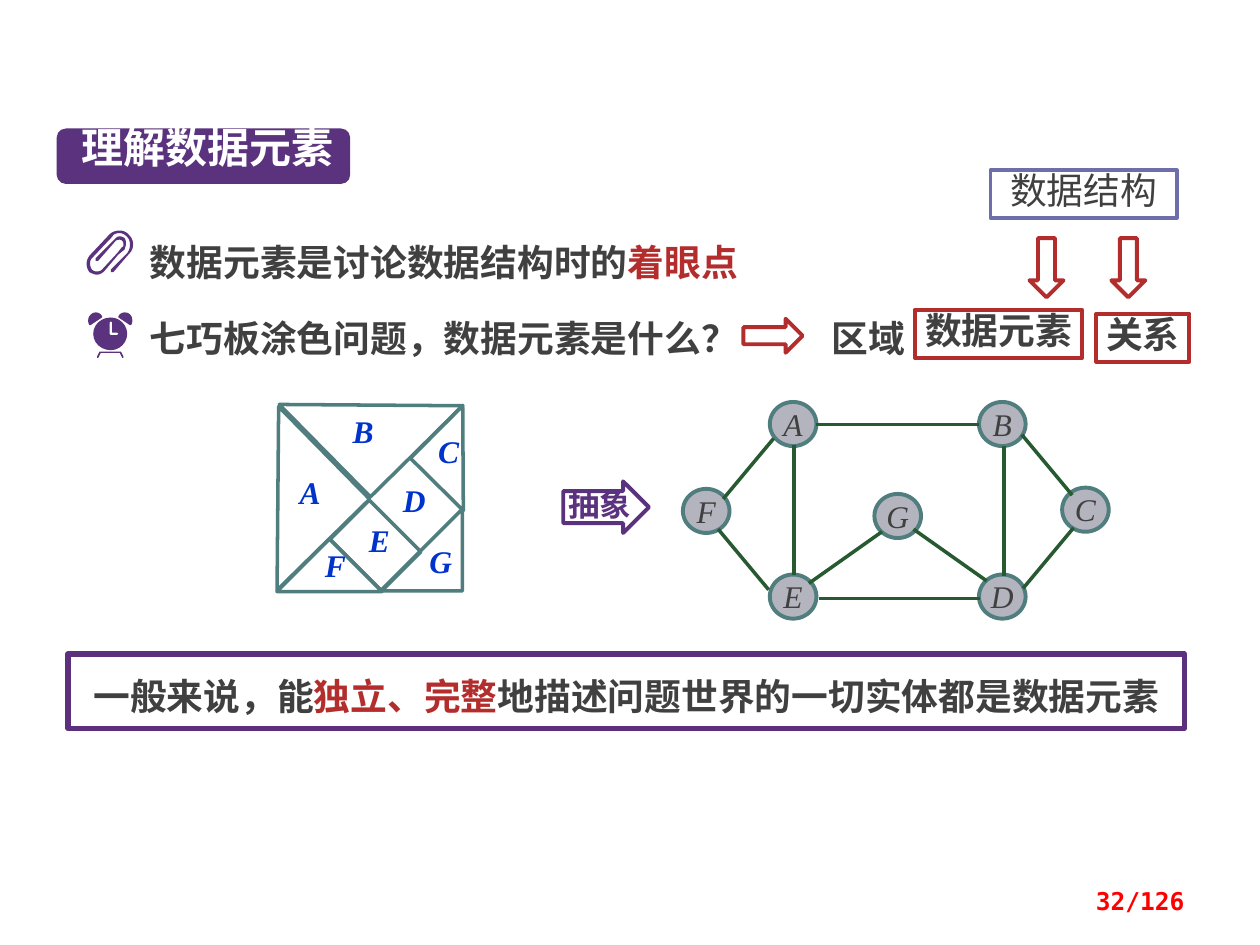
from dataclasses import dataclass

import lxml.etree
import pptx
import pptx.dml.color
import pptx.enum.shapes
import pptx.enum.text
import pptx.oxml.ns
import pptx.util

Inches = pptx.util.Inches
Pt = pptx.util.Pt
RGB = pptx.dml.color.RGBColor
Geometry = pptx.enum.shapes.MSO_SHAPE
Align = pptx.enum.text.PP_ALIGN
Anchor = pptx.enum.text.MSO_ANCHOR
qn = pptx.oxml.ns.qn

PURPLE = RGB(0x5A, 0x32, 0x7D)
SUMMARY_PURPLE = RGB(0x5C, 0x30, 0x7D)
LAVENDER = RGB(0x6E, 0x6E, 0xAA)
CRIMSON = RGB(0xB4, 0x2D, 0x2D)
CHARCOAL = RGB(0x40, 0x40, 0x40)
TEAL = RGB(0x50, 0x7D, 0x7D)
GREEN = RGB(0x28, 0x5A, 0x32)
GREY = RGB(0xB4, 0xB4, 0xBE)
BLUE = RGB(0x00, 0x33, 0xCC)
RED = RGB(0xFF, 0x00, 0x00)
WHITE = RGB(0xFF, 0xFF, 0xFF)
CHINESE = "Noto Sans CJK SC"
SERIF = "Times New Roman"
MONO = "DejaVu Sans Mono"
INSETS = (0.1, 0.05, 0.1, 0.05)
STATEMENT_INSETS = (0.07, 0.04, 0, 0.04)


@dataclass(frozen=True)
class Run:
    text: str
    color: RGB = CHARCOAL
    size: float = 21
    font: str = CHINESE
    bold: bool = True
    italic: bool = False


@dataclass(frozen=True)
class Piece:
    letter: str
    letter_at: tuple
    box: tuple = ()
    rotation: float = 0
    geometry: Geometry = Geometry.RIGHT_TRIANGLE


@dataclass(frozen=True)
class Node:
    letter: str
    left: float
    top: float


def write(shape, runs: list, align=Align.CENTER, spacing=0.8, insets=INSETS,
          anchor=Anchor.TOP, wrap: bool = True) -> None:
    frame = shape.text_frame
    frame.auto_size = pptx.enum.text.MSO_AUTO_SIZE.NONE
    frame.word_wrap = wrap
    frame.vertical_anchor = anchor
    (frame.margin_left, frame.margin_top,
     frame.margin_right, frame.margin_bottom) = map(Inches, insets)
    paragraph = frame.paragraphs[0]
    paragraph.alignment = align
    paragraph.line_spacing = spacing
    paragraph.space_before = Pt(0)
    for part in runs:
        run = paragraph.add_run()
        run.text = part.text
        run.font.name = part.font
        run.font.size = Pt(part.size)
        run.font.bold = part.bold
        run.font.italic = part.italic
        run.font.color.rgb = part.color
        east_asian = lxml.etree.SubElement(run._r.get_or_add_rPr(), qn("a:ea"))
        east_asian.set("typeface", part.font)


def add_label(slide, box: tuple, runs: list, **layout) -> None:
    write(slide.shapes.add_textbox(*map(Inches, box)), runs, **layout)


def paint(shape, fill=None, line=None, width: float = 2.25) -> None:
    shape.shadow.inherit = False
    if fill is None:
        shape.fill.background()
    else:
        shape.fill.solid()
        shape.fill.fore_color.rgb = fill
    if line is None:
        shape.line.fill.background()
    else:
        shape.line.color.rgb = line
        shape.line.width = Pt(width)


def add_figure(slide, geometry: Geometry, box: tuple, fill=None, line=None,
               width: float = 2.25, rotation: float = 0):
    figure = slide.shapes.add_shape(geometry, *map(Inches, box))
    figure.rotation = rotation
    paint(figure, fill, line, width)
    return figure


def place(placeholder, box: tuple) -> None:
    (placeholder.left, placeholder.top,
     placeholder.width, placeholder.height) = map(Inches, box)


def add_statement(placeholder, box: tuple, runs: list) -> None:
    place(placeholder, box)
    properties = placeholder.text_frame.paragraphs[0]._p.get_or_add_pPr()
    properties.set("marL", "0")
    properties.set("indent", "0")
    lxml.etree.SubElement(properties, qn("a:buNone"))
    write(placeholder, runs, Align.LEFT, 1.2, STATEMENT_INSETS)


def flatten(contour: list, steps: int = 6) -> list:
    points = [contour[0]]
    for segment in contour[1:]:
        if len(segment) == 2:
            points.append(segment)
            continue
        x0, y0 = points[-1]
        x1, y1, x2, y2, x3, y3 = segment
        for t in (step / steps for step in range(1, steps + 1)):
            weights = ((1 - t) ** 3, 3 * t * (1 - t) ** 2, 3 * t * t * (1 - t), t ** 3)
            points.append(tuple(sum(w * v for w, v in zip(weights, values))
                                for values in ((x0, x1, x2, x3), (y0, y1, y2, y3))))
    return points


def add_icon_part(slide, contours: list) -> None:
    outlines = [[(Inches(x), Inches(y)) for x, y in flatten(contour)] for contour in contours]
    builder = slide.shapes.build_freeform(*outlines[0][0])
    builder.add_line_segments(outlines[0][1:], close=True)
    for outline in outlines[1:]:
        builder.move_to(*outline[0])
        builder.add_line_segments(outline[1:], close=True)
    paint(builder.convert_to_shape(), PURPLE)


def add_edge(slide, ends: tuple) -> None:
    edge = slide.shapes.add_connector(pptx.enum.shapes.MSO_CONNECTOR.STRAIGHT, *map(Inches, ends))
    edge.line.color.rgb = GREEN
    edge.line.width = Pt(2)
    lxml.etree.SubElement(edge._element.spPr, qn("a:effectLst"))


PAPERCLIP = [
    (1.02, 1.86), (1, 1.84, 0.98, 1.83, 0.95, 1.83), (0.92, 1.83, 0.89, 1.84, 0.87, 1.86),
    (0.71, 2.03), (0.68, 2.07, 0.68, 2.12, 0.71, 2.16), (0.73, 2.17, 0.75, 2.18, 0.77, 2.18),
    (0.79, 2.18, 0.81, 2.17, 0.83, 2.15), (0.94, 2.02), (0.99, 1.98),
    (0.99, 1.97, 1, 1.95, 1, 1.94), (1, 1.92, 1, 1.91, 0.99, 1.89),
    (0.96, 1.87, 0.93, 1.87, 0.91, 1.9), (0.76, 2.05), (0.76, 2.07), (0.78, 2.07), (0.92, 1.91),
    (0.94, 1.9, 0.96, 1.9, 0.97, 1.91), (0.98, 1.92, 0.98, 1.93, 0.98, 1.94),
    (0.98, 1.95, 0.98, 1.96, 0.97, 1.96), (0.93, 2.01), (0.81, 2.14),
    (0.79, 2.16, 0.75, 2.16, 0.73, 2.14), (0.71, 2.11, 0.71, 2.07, 0.73, 2.05), (0.89, 1.88),
    (0.9, 1.86, 0.92, 1.85, 0.95, 1.85), (0.97, 1.85, 0.99, 1.86, 1.01, 1.88),
    (1.04, 1.91, 1.04, 1.97, 1.01, 2.01), (0.88, 2.14), (0.88, 2.16), (0.9, 2.16), (1.02, 2.02),
    (1.07, 1.98, 1.07, 1.9, 1.02, 1.86)]
CLOCK_FEET = [(0.98, 2.83), (0.96, 2.79), (0.79, 2.79), (0.77, 2.83), (0.77, 2.84),
              (0.78, 2.84), (0.8, 2.8), (0.95, 2.8), (0.97, 2.84), (0.98, 2.84)]
LEFT_BELL = [(0.76, 2.48), (0.73, 2.48, 0.7, 2.51, 0.7, 2.54), (0.7, 2.55, 0.7, 2.57, 0.71, 2.58),
             (0.72, 2.58), (0.81, 2.52), (0.81, 2.51), (0.8, 2.49, 0.78, 2.48, 0.76, 2.48)]
RIGHT_BELL = [(0.99, 2.48), (0.97, 2.48, 0.95, 2.49, 0.94, 2.51), (0.94, 2.52), (1.03, 2.58),
              (1.04, 2.58), (1.05, 2.57, 1.05, 2.55, 1.05, 2.54),
              (1.05, 2.51, 1.03, 2.48, 0.99, 2.48)]
CLOCK_FACE = [(0.88, 2.52), (0.8, 2.52, 0.74, 2.58, 0.74, 2.65), (0.74, 2.72, 0.8, 2.78, 0.88, 2.78),
              (0.95, 2.78, 1.01, 2.72, 1.01, 2.65), (1.01, 2.58, 0.95, 2.52, 0.88, 2.52)]
CLOCK_HANDS = [(0.93, 2.66), (0.88, 2.66), (0.87, 2.65), (0.87, 2.56), (0.88, 2.55),
               (0.89, 2.56), (0.89, 2.64), (0.93, 2.64), (0.94, 2.65)]
ICON_PARTS = [[PAPERCLIP], [CLOCK_FEET], [LEFT_BELL], [RIGHT_BELL], [CLOCK_FACE, CLOCK_HANDS]]

TANGRAM = [
    Piece("D", (3.1, 3.83)),
    Piece("A", (2.28, 3.76), (1.69, 3.44, 1.03, 1.03), 225.5),
    Piece("F", (2.48, 4.34), (2.32, 4.4, 0.59, 0.59), 135),
    Piece("E", (2.83, 4.14), (2.76, 4.04, 0.44, 0.58), 315, Geometry.RECTANGLE),
    Piece("C", (3.38, 3.44), (3.38, 3.34, 0.59, 0.59), 44.7),
    Piece("G", (3.31, 4.31), (3.02, 4.04, 0.65, 0.65), 270),
    Piece("B", (2.7, 3.28), (2.43, 2.7, 1.03, 1.03), 315.4)]
NODES = [Node("A", 6.11, 3.19), Node("B", 7.77, 3.19), Node("E", 6.11, 4.56), Node("D", 7.77, 4.56),
         Node("C", 8.43, 3.87), Node("F", 5.42, 3.88), Node("G", 6.94, 3.92)]
EDGES = [(6.48, 3.37, 7.77, 3.37), (7, 4.22, 6.42, 4.63), (6.3, 3.53, 6.3, 4.56),
         (7.97, 3.54, 7.97, 4.57), (6.5, 4.75, 7.78, 4.75), (7.25, 4.2, 7.83, 4.61),
         (6.14, 3.48, 5.74, 3.96), (6.1, 4.68, 5.7, 4.2), (8.52, 4.19, 8.12, 4.67),
         (8.51, 3.93, 8.11, 3.45)]


def main() -> None:
    deck = pptx.Presentation()
    deck.slide_width, deck.slide_height = Inches(10), Inches(7.5)
    slide = deck.slides.add_slide(deck.slide_layouts[3])

    add_figure(slide, Geometry.ROUNDED_RECTANGLE, (0.45, 1.02, 2.33, 0.44), PURPLE)
    heading = slide.shapes.title
    place(heading, (0.52, 0.99, 2.26, 0.42))
    write(heading, [Run("理解数据元素", WHITE, 24)])
    slide.shapes._spTree.append(heading._element)

    add_statement(slide.placeholders[1], (1.12, 1.79, 5.31, 0.57),
                  [Run("数据元素是讨论数据结构时的"), Run("着眼点", CRIMSON)])
    add_statement(slide.placeholders[2], (1.12, 2.4, 4.78, 0.57),
                  [Run("七巧板涂色问题，数据元素是什么？")])
    add_label(slide, (6.53, 2.4, 0.88, 0.57), [Run("区域")],
              align=Align.LEFT, spacing=1.2, insets=STATEMENT_INSETS)
    for contours in ICON_PARTS:
        add_icon_part(slide, contours)

    for text, box, color, width, bold, anchor in (
            ("数据结构", (7.86, 1.35, 1.48, 0.38), LAVENDER, 2, False, Anchor.TOP),
            ("数据元素", (7.26, 2.46, 1.33, 0.38), CRIMSON, 2.25, True, Anchor.TOP),
            ("关系", (8.7, 2.49, 0.74, 0.38), CRIMSON, 2.25, True, Anchor.MIDDLE)):
        term = add_figure(slide, Geometry.RECTANGLE, box, line=color, width=width)
        write(term, [Run(text, bold=bold)], insets=(0, 0.05, 0, 0.05), anchor=anchor)
    for left, top, rotation in ((8.07, 1.99, 90), (8.72, 1.99, 90), (5.9, 2.53, 0)):
        add_figure(slide, Geometry.RIGHT_ARROW, (left, top, 0.47, 0.27),
                   line=CRIMSON, rotation=rotation)

    for piece in TANGRAM:
        if piece.box:
            add_figure(slide, piece.geometry, piece.box, line=TEAL, width=2, rotation=piece.rotation)
        add_label(slide, (*piece.letter_at, 0.36, 0.34),
                  [Run(piece.letter, BLUE, 18, SERIF, italic=True)])

    abstraction = add_figure(slide, Geometry.RIGHT_ARROW, (4.47, 3.82, 0.68, 0.41), line=PURPLE)
    abstraction.adjustments[0] = 0.62
    write(abstraction, [Run("抽象", PURPLE, 18)], spacing=Pt(18),
          insets=(0.03, 0, 0, 0), anchor=Anchor.MIDDLE)
    for node in NODES:
        circle = add_figure(slide, Geometry.OVAL, (node.left, node.top, 0.37, 0.35), GREY, TEAL)
        write(circle, [Run(node.letter, CHARCOAL, 18, SERIF, False, True)],
              spacing=Pt(19.5), insets=(0, 0, 0, 0))
    for ends in EDGES:
        add_edge(slide, ends)

    summary = add_figure(slide, Geometry.RECTANGLE, (0.54, 5.19, 8.86, 0.59),
                         line=SUMMARY_PURPLE, width=3)
    write(summary, [Run("一般来说，能"), Run("独立、完整", CRIMSON),
                    Run("地描述问题世界的一切实体都是数据元素")],
          spacing=Pt(30), anchor=Anchor.MIDDLE)
    add_label(slide, (7.17, 6.95, 2.33, 0.4), [Run("32/126", RED, 14, MONO)],
              align=Align.RIGHT, spacing=1.0, anchor=Anchor.MIDDLE)
    deck.save("out.pptx")


if __name__ == "__main__":
    main()
